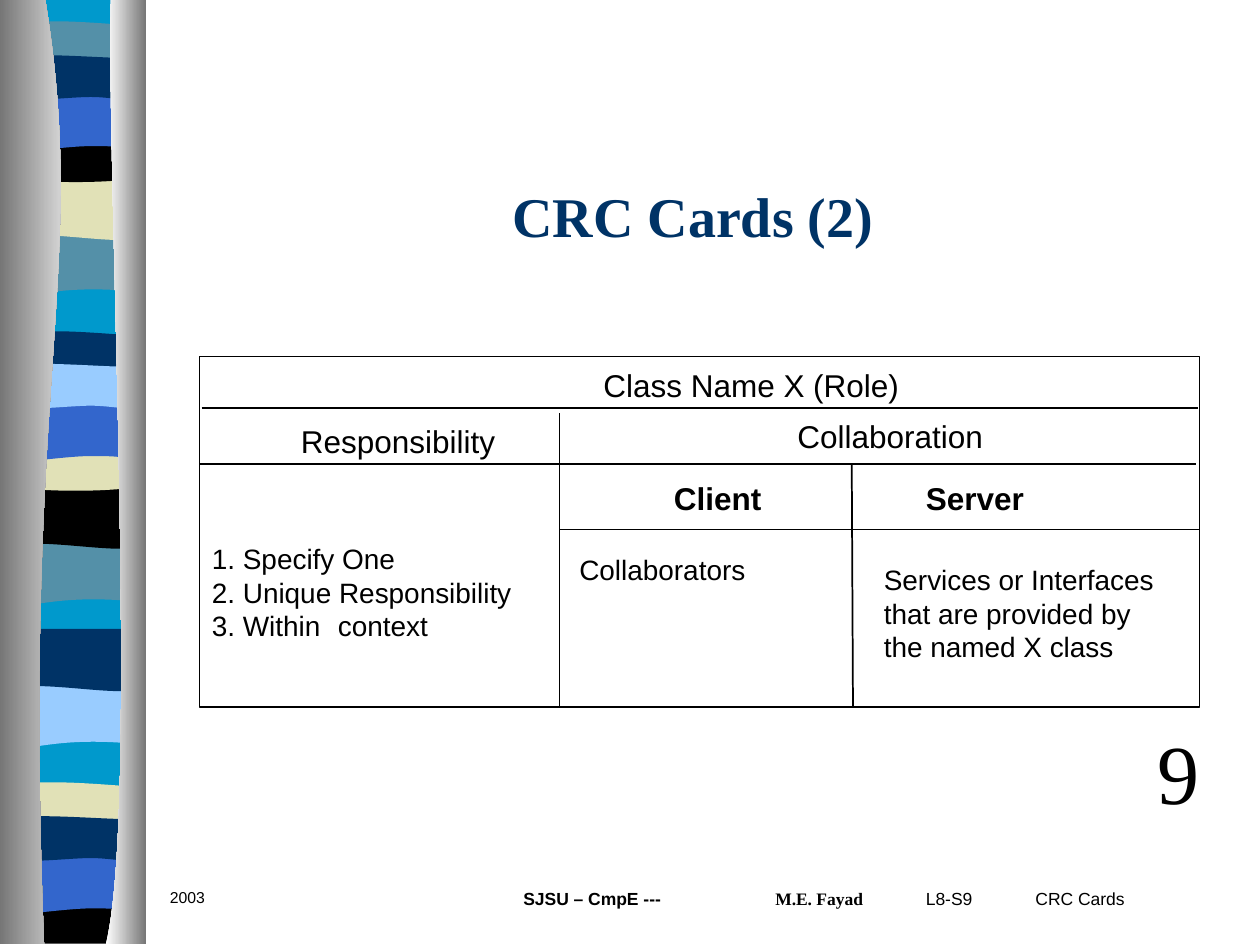
from lxml import etree
from pptx import Presentation
from pptx import util as u
from pptx.dml.color import RGBColor
from pptx.enum import shapes, text
from pptx.oxml.ns import qn

BLACK = RGBColor(0x00, 0x00, 0x00)
WHITE = RGBColor(0xFF, 0xFF, 0xFF)
GREY = RGBColor(0x76, 0x76, 0x76)
NAVY = RGBColor(0x00, 0x33, 0x66)
BLUE = RGBColor(0x33, 0x66, 0xCC)
SKY = RGBColor(0x99, 0xCC, 0xFF)
CYAN = RGBColor(0x00, 0x99, 0xCC)
TEAL = RGBColor(0x54, 0x90, 0xA8)
CREAM = RGBColor(0xE1, 0xE1, 0xB7)

SLIDE_WIDTH, SLIDE_HEIGHT = 10, 7.5
RIBBON_LEFT = 0.06
SANS, SERIF = "Arial", "Times New Roman"

BAND_OUTLINES = {
    "base": [(1.08, 0), (1.08, 7.47), (0, 7.47), (0, 0)],
    "sweep": [(1.08, 0), (1.08, 0.47), (0.33, 0.39, 0.18, 0.55, 0, 0.47), (0, 0)],
    "wave": [(1.08, 0), (1.08, 0.47), (0.9, 0.55, 0.33, 0.41, 0, 0.47), (0, 0)],
    "crest": [(1.08, 0), (1.08, 0.24), (0.9, 0.28, 0.18, 0.28, 0, 0.24), (0, 0),
              (0.06, -0.05, 0.23, -0.04, 0.41, -0.04), (0.59, -0.04, 0.94, -0.01, 1.08, 0)],
    "dip": [(1.08, 0), (1.08, 0.32), (0.9, 0.38, 0.18, 0.38, 0, 0.32), (0, 0),
            (0.66, 0.05, 0.85, 0, 1.08, 0)],
    "foot": [(1.08, 0), (1.08, 0.37), (0, 0.37), (0, 0), (0.66, 0.05, 0.85, 0, 1.08, 0)],
    "arch": [(1.08, 0), (1.08, 0.47), (0.91, 0.42, 0.84, 0.42, 0.66, 0.42),
             (0.48, 0.42, 0.16, 0.47, 0, 0.47), (0, 0)],
    "ripple": [(1.08, 0), (1.08, 0.31), (1.01, 0.36, 0.84, 0.31, 0.66, 0.31),
               (0.48, 0.31, 0.11, 0.36, 0, 0.31), (0, 0), (0.15, -0.05, 0.73, 0, 0.91, 0),
               (1.09, 0, 1.04, 0, 1.08, 0)],
}
BANDS = [
    ("base", 0, CYAN),
    ("sweep", 1.85, TEAL), ("wave", 1.41, CREAM), ("crest", 0.21, TEAL),
    ("dip", 1.08, BLACK), ("arch", 0.74, BLUE), ("ripple", 0.46, NAVY),
    ("sweep", 4.31, TEAL), ("wave", 3.86, BLACK), ("crest", 2.67, NAVY),
    ("dip", 3.53, CREAM), ("arch", 3.2, BLUE), ("ripple", 2.91, SKY),
    ("sweep", 5.44, SKY), ("wave", 4.99, NAVY), ("crest", 6.25, CREAM),
    ("foot", 7.12, BLACK), ("arch", 6.79, BLUE), ("ripple", 6.5, NAVY),
]
RAILS = [
    ([(0.36, 0), (0.71, 2.16, 0.17, 2.96, 0.35, 7.49), (0, 7.49), (0, 0)], GREY, WHITE),
    ([(0.88, 0), (0.84, 1.25, 1.11, 6.46, 0.84, 7.49), (1.16, 7.49), (1.16, 0)], WHITE, GREY),
]

CARD_LEFT, CARD_RIGHT = 19 / 12, 9.52
CARD_TOP, CARD_BOTTOM = 2.83, 5.61
NAME_ROW, HEADER_ROW, ROLE_ROW = 3.24, 3.68, 4.2
COLLABORATION, SERVER = 4.44, 6.77
RULES = [
    (1.6, NAME_ROW, 9.51, NAME_ROW, 1),
    (CARD_LEFT, HEADER_ROW, 9.49, HEADER_ROW, 1),
    (COLLABORATION, 3.28, COLLABORATION, CARD_BOTTOM, 1),
    (6.76, HEADER_ROW, SERVER, CARD_BOTTOM, 1),
    (COLLABORATION, ROLE_ROW, CARD_RIGHT, ROLE_ROW, 0.75),
]

INCH_TABS = list(range(8))
LEFT, CENTER = text.PP_ALIGN.LEFT, text.PP_ALIGN.CENTER
FOOTERS = [
    ((7.25, 7, 2.5, 0.33), [[("L8-S9\tCRC Cards", SANS, False)]], 10, LEFT, [0.87]),
    ((1.25, 7, 2, 0.33), [[("2003", SANS, False)]], 9, LEFT, INCH_TABS),
    ((47 / 12, 7, 3.17, 0.33),
     [[("SJSU – CmpE ---\t", SANS, True), ("M.E. Fayad", SERIF, True)]], 10, CENTER, INCH_TABS),
]
HEADINGS = [
    ((9.09, 5.67, 0.53, 0.9), "9", SERIF, 48, False),
    ((4.69, 2.86, 2.55, 0.4), "Class Name X (Role)", SANS, 18, False),
    ((2.29, 3.3, 1.74, 0.4), "Responsibility", SANS, 18, False),
    ((6.23, 3.26, 1.67, 0.4), "Collaboration", SANS, 18, False),
    ((5.25, 3.75, 2.98, 0.4), "Client \t\tServer", SANS, 18, True),
]
CELLS = [
    ((CARD_LEFT, 4.25, 2.83, 0.9),
     ["1. Specify One", "2. Unique Responsibility", "3. Within\tcontext"]),
    ((4.5, 13 / 3, 1.83, 0.36), ["Collaborators"]),
    ((83 / 12, 53 / 12, 2.5, 0.9),
     ["Services or Interfaces that are provided by the named X class"]),
]


def inches(values):
    return [u.Inches(value) for value in values]


def add_outline(slide, outline, left=0, top=0):
    if outline[-1][-2:] != outline[0]:
        outline = outline + [outline[0]]
    points = [inches((left + segment[i], top + segment[i + 1]))
              for segment in outline for i in range(0, len(segment), 2)]
    builder = slide.shapes.build_freeform(*points[0], scale=1.0)
    builder.add_line_segments(points[1:], close=True)
    shape = builder.convert_to_shape()
    lines = iter(list(shape._element.iter(qn("a:lnTo"))))
    for segment in outline[1:]:
        first = next(lines)
        if len(segment) == 6:
            curve = etree.Element(qn("a:cubicBezTo"))
            first.addprevious(curve)
            for line in (first, next(lines), next(lines)):
                curve.append(line[0])
                line.getparent().remove(line)
    shape.shadow.inherit = False
    shape.line.fill.background()
    return shape


def add_ribbon(slide):
    for name, top, color in BANDS:
        fill = add_outline(slide, BAND_OUTLINES[name], RIBBON_LEFT, top).fill
        fill.solid()
        fill.fore_color.rgb = color
    for outline, *colors in RAILS:
        fill = add_outline(slide, outline).fill
        fill.gradient()
        fill.gradient_angle = 0
        for stop, color in zip(fill.gradient_stops, colors):
            stop.color.rgb = color


def add_card(slide):
    frame = slide.shapes.add_shape(
        shapes.MSO_SHAPE.RECTANGLE,
        *inches((CARD_LEFT, CARD_TOP, CARD_RIGHT - CARD_LEFT, CARD_BOTTOM - CARD_TOP)))
    frame.shadow.inherit = False
    frame.fill.background()
    frame.line.color.rgb = BLACK
    frame.line.width = u.Pt(1)
    for *ends, width in RULES:
        rule = slide.shapes.add_connector(shapes.MSO_CONNECTOR.STRAIGHT, *inches(ends))
        rule.line.color.rgb = BLACK
        rule.line.width = u.Pt(width)
        etree.SubElement(rule._element.spPr, qn("a:effectLst"))


def format_run(run, name, size, bold, color):
    run.font.name = name
    run.font.size = u.Pt(size)
    run.font.bold = bold
    run.font.color.rgb = color


def add_label(slide, box, paragraphs, size, alignment=LEFT, tabs=INCH_TABS, wrap=True):
    frame = slide.shapes.add_textbox(*inches(box)).text_frame
    frame.word_wrap = wrap
    for index, runs in enumerate(paragraphs):
        paragraph = frame.add_paragraph() if index else frame.paragraphs[0]
        paragraph.alignment = alignment
        tab_list = etree.SubElement(paragraph._p.get_or_add_pPr(), qn("a:tabLst"))
        for position in tabs:
            etree.SubElement(tab_list, qn("a:tab"), pos=str(u.Inches(position)), algn="l")
        for words, name, bold in runs:
            run = paragraph.add_run()
            run.text = words
            format_run(run, name, size, bold, BLACK)
    return frame


def add_title(slide):
    title = slide.shapes.title
    title.left, title.top, title.width, title.height = inches((1.25, 1.33, 8.5, 0.75))
    title.text_frame.text = "CRC Cards (2)"
    title.text_frame.vertical_anchor = text.MSO_ANCHOR.MIDDLE
    paragraph = title.text_frame.paragraphs[0]
    paragraph.alignment = CENTER
    format_run(paragraph.runs[0], SERIF, 32, True, NAVY)


def main():
    presentation = Presentation()
    presentation.slide_width, presentation.slide_height = inches((SLIDE_WIDTH, SLIDE_HEIGHT))
    slide = presentation.slides.add_slide(presentation.slide_layouts[5])
    add_ribbon(slide)
    add_title(slide)
    add_card(slide)
    for footer in FOOTERS:
        add_label(slide, *footer)
    for box, words, name, size, bold in HEADINGS:
        frame = add_label(slide, box, [[(words, name, bold)]], size, wrap=False)
        frame.auto_size = text.MSO_AUTO_SIZE.SHAPE_TO_FIT_TEXT
    for box, lines in CELLS:
        frame = add_label(slide, box, [[(line, SANS, False)] for line in lines], 16)
        frame.auto_size = text.MSO_AUTO_SIZE.SHAPE_TO_FIT_TEXT
    presentation.save("out.pptx")


if __name__ == "__main__":
    main()
